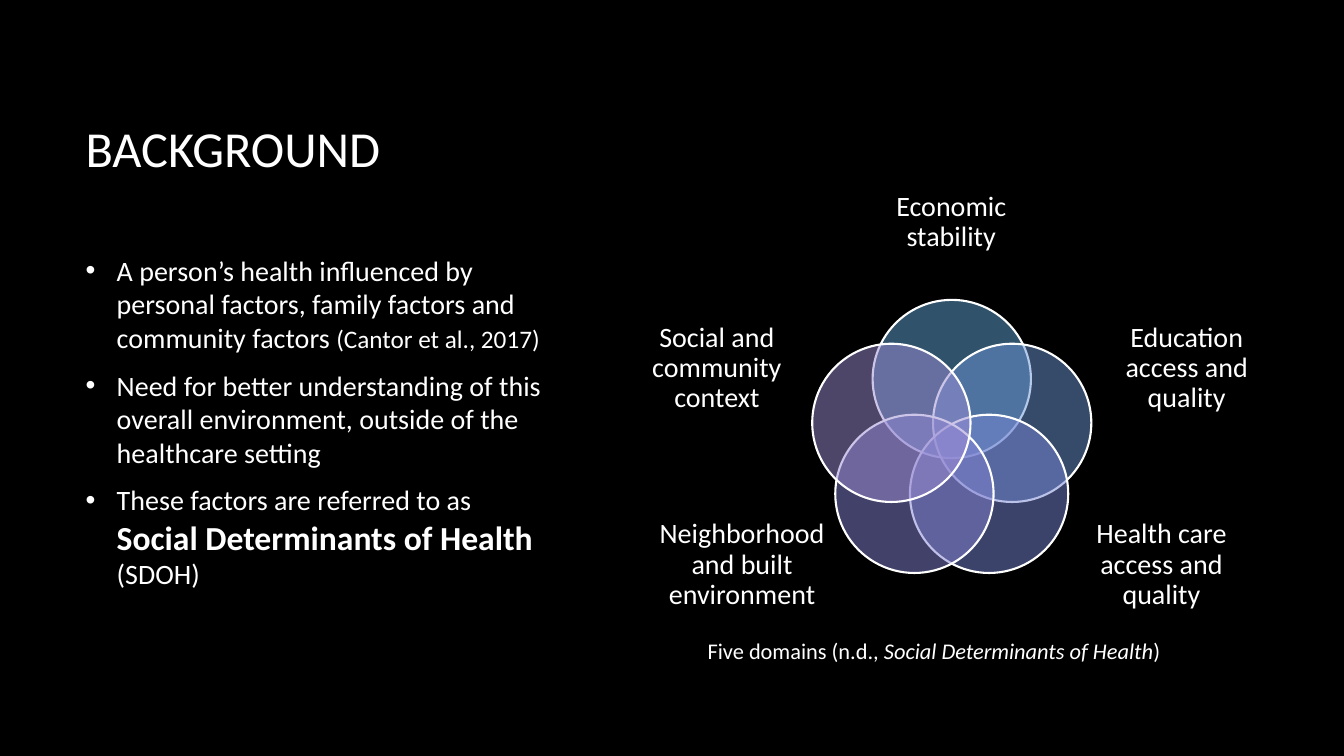
from math import cos, pi, sin

from lxml.etree import SubElement
from pptx import Presentation
from pptx.dml.color import RGBColor
from pptx.enum.shapes import MSO_SHAPE
from pptx.enum.text import MSO_ANCHOR as ANCHOR, PP_ALIGN as ALIGN
from pptx.oxml.ns import qn
from pptx.util import Pt

PX = 9144  # EMU per px, 100 px to the inch
FONT = "Calibri"
BLACK = RGBColor(0x00, 0x00, 0x00)
WHITE = RGBColor(0xFF, 0xFF, 0xFF)
TEAL = RGBColor(0x61, 0xA5, 0xD6)
BLUE = RGBColor(0x6C, 0x94, 0xD5)
INDIGO = RGBColor(0x77, 0x87, 0xD4)
VIOLET = RGBColor(0x85, 0x82, 0xD3)
PURPLE = RGBColor(0x9D, 0x8C, 0xD3)

BULLET_INDENT = 31
CIRCLE_SIZE = 157
RING_RADIUS = 63

# Each paragraph is a list of runs: text and font format
BULLETS = [
    [("A person’s health influenced by personal factors, family factors and "
      "community factors ", {}),
     ("(Cantor et al., 2017)", {"size": Pt(18)})],
    [("Need for better understanding of this overall environment, outside of "
      "the healthcare setting", {})],
    [("These factors are referred to as ", {}),
     ("Social Determinants of Health", {"size": Pt(24), "bold": True}),
     (" (SDOH)", {})],
]
CAPTION = [("Five domains (n.d., ", {}),
           ("Social Determinants of Health", {"italic": True}),
           (")", {})]

# Clockwise from the top: label, circle colour, label box within the diagram
DOMAINS = [
    ("Economic stability", TEAL, (223, 0, 183, 106)),
    ("Education access and quality", BLUE, (466, 140, 164, 115)),
    ("Health care access and quality", INDIGO, (441, 335, 164, 115)),
    ("Neighborhood and built environment", VIOLET, (25, 335, 164, 115)),
    ("Social and community context", PURPLE, (0, 140, 164, 115)),
]


def scale(*lengths):
    return [round(length * PX) for length in lengths]


def add_text(shapes, box, paragraphs, size, frame_format=None, paragraph_format=None):
    """Place a wrapped text box and return its paragraphs."""
    frame = shapes.add_textbox(*scale(*box)).text_frame
    frame.word_wrap = True
    for name, value in (frame_format or {}).items():
        setattr(frame, name, value)
    for index, runs in enumerate(paragraphs):
        paragraph = frame.add_paragraph() if index else frame.paragraphs[0]
        for name, value in (paragraph_format or {}).items():
            setattr(paragraph, name, value)
        for text, run_format in runs:
            run = paragraph.add_run()
            run.text = text
            run.font.color.rgb = WHITE
            for name, value in {"name": FONT, "size": Pt(size), **run_format}.items():
                setattr(run.font, name, value)
    return frame.paragraphs


def add_title(slide, box):
    add_text(slide.shapes, box, [[("BACKGROUND", {})]], 36,
             {"vertical_anchor": ANCHOR.MIDDLE})


def add_bullets(slide, box):
    paragraphs = add_text(slide.shapes, box, BULLETS, 20,
                          {"vertical_anchor": ANCHOR.MIDDLE}, {"space_after": Pt(10)})
    indent = BULLET_INDENT * PX
    for paragraph in paragraphs:
        properties = paragraph._p.get_or_add_pPr()
        properties.set("marL", str(indent))
        properties.set("indent", str(-indent))
        colour = SubElement(properties, qn("a:buClr"))
        SubElement(colour, qn("a:srgbClr"), val=str(WHITE))
        SubElement(properties, qn("a:buFont"), typeface="Arial")
        SubElement(properties, qn("a:buChar"), char="•")


def add_circle(shapes, center_x, center_y, colour):
    half = CIRCLE_SIZE / 2
    circle = shapes.add_shape(MSO_SHAPE.OVAL, *scale(
        center_x - half, center_y - half, CIRCLE_SIZE, CIRCLE_SIZE))
    circle.shadow.inherit = False
    circle.fill.solid()
    circle.fill.fore_color.rgb = colour
    fill_colour = circle.fill._xPr.find(qn("a:solidFill"))[0]
    SubElement(fill_colour, qn("a:alpha"), val="50000")
    circle.line.color.rgb = WHITE
    circle.line.width = Pt(1.5)


def add_venn(slide, box):
    left, top, width, height = box
    shapes = slide.shapes.add_group_shape().shapes
    center_x, center_y = left + width / 2, top + 271
    label_frame = {"vertical_anchor": ANCHOR.MIDDLE, "margin_left": 0,
                   "margin_right": 0, "margin_top": 0, "margin_bottom": 0}
    label_paragraph = {"alignment": ALIGN.CENTER, "line_spacing": 0.9}
    for index, (label, colour, (x, y, w, h)) in enumerate(DOMAINS):
        angle = 2 * pi * index / len(DOMAINS)
        add_circle(shapes, center_x + RING_RADIUS * sin(angle),
                   center_y - RING_RADIUS * cos(angle), colour)
        add_text(shapes, (left + x, top + y, w, h), [[(label, {})]], 20,
                 label_frame, label_paragraph)


def add_caption(slide, box):
    add_text(slide.shapes, box, [CAPTION], 16)


def main():
    presentation = Presentation()
    presentation.slide_width, presentation.slide_height = scale(1333, 750)
    slide = presentation.slides.add_slide(presentation.slide_layouts[6])
    slide.background.fill.solid()
    slide.background.fill.fore_color.rgb = BLACK
    add_title(slide, (75, 67, 1108, 159))
    add_bullets(slide, (75, 234, 486, 369))
    add_venn(slide, (629, 168, 630, 450))
    add_caption(slide, (692, 627, 503, 67))
    presentation.save("out.pptx")


if __name__ == "__main__":
    main()
